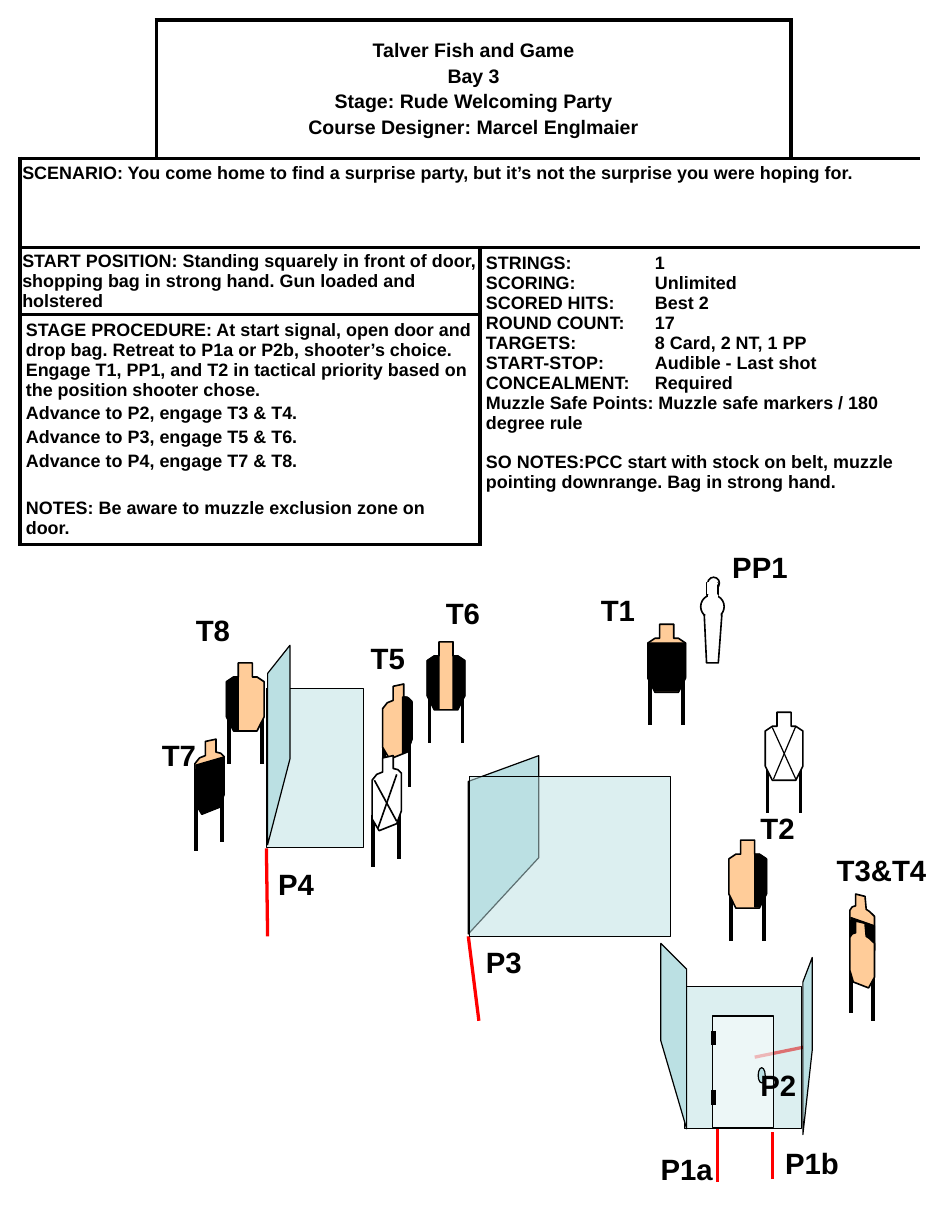
from lxml import etree
from pptx import Presentation
from pptx.dml.color import RGBColor
from pptx.enum.shapes import MSO_CONNECTOR, MSO_SHAPE
from pptx.enum.text import MSO_ANCHOR, PP_ALIGN
from pptx.oxml.ns import qn
from pptx.util import Pt

PX = 9144  # 100 px to the inch
RECT, OVAL, STRAIGHT = MSO_SHAPE.RECTANGLE, MSO_SHAPE.OVAL, MSO_CONNECTOR.STRAIGHT
CENTER, LEFT = PP_ALIGN.CENTER, PP_ALIGN.LEFT
TOP, MIDDLE = MSO_ANCHOR.TOP, MSO_ANCHOR.MIDDLE
BLACK, WHITE = RGBColor(0, 0, 0), RGBColor(255, 255, 255)
RED, TAN, GLASS = RGBColor(255, 0, 0), RGBColor(255, 204, 153), RGBColor(187, 224, 227)

# Table: widths, heights, then cells
COLS, ROWS = [116, 276, 265, 110], [118, 76, 57, 196]
HEADER = ["Talver Fish and Game", "Bay 3", "Stage: Rude Welcoming Party",
          "Course Designer: Marcel Englmaier"]
SCENARIO = ["SCENARIO: You come home to find a surprise party, "
            "but it’s not the surprise you were hoping for."]
START = ["START POSITION: Standing squarely in front of door, "
         "shopping bag in strong hand. Gun loaded and holstered"]
FACTS = ["STRINGS:\t1", "SCORING:\tUnlimited", "SCORED HITS:\tBest 2", "ROUND COUNT:\t17",
         "TARGETS:\t8 Card, 2 NT, 1 PP", "START-STOP:\tAudible - Last shot",
         "CONCEALMENT:\tRequired",
         "Muzzle Safe Points: Muzzle safe markers / 180 degree rule",
         "SO NOTES:PCC start with stock on belt, muzzle pointing downrange. Bag in strong hand."]
PROCEDURE = ["STAGE PROCEDURE: At start signal, open door and drop bag. Retreat to P1a or P2b, "
             "shooter’s choice. Engage T1, PP1, and T2 in tactical priority based on the "
             "position shooter chose.",
             "Advance to P2, engage T3 & T4.", "Advance to P3, engage T5 & T6.",
             "Advance to P4, engage T7 & T8.",
             "NOTES: Be aware to muzzle exclusion zone on door."]
# (row, col, rows, cols, text, size, align, anchor, x inset, y inset, space before, before last)
CELLS = [
    (0, 0, 1, 1, [], 12, LEFT, TOP, 5, 5, 0, 0),
    (0, 1, 1, 2, HEADER, 12, CENTER, MIDDLE, 5, 5, 2.4, 2.4),
    (0, 3, 1, 1, [], 12, LEFT, TOP, 5, 5, 0, 0),
    (1, 0, 1, 4, SCENARIO, 11, LEFT, TOP, 2, 4, 0, 0),
    (2, 0, 1, 2, START, 11, LEFT, TOP, 2, 3, 0, 0),
    (2, 2, 2, 2, FACTS, 11, LEFT, TOP, 5, 5, 0, 12),
    (3, 0, 1, 2, PROCEDURE, 11, LEFT, TOP, 5, 5, 2.2, 17),
]
OPEN_EDGES = {(0, 0): "LT", (0, 3): "RT"}
TAB = 144

# Course: firing lines, walls, targets, labels
FIRING_LINES = [(692, 891, 643, 901), (658, 1005, 658, 965), (399, 798, 408, 870),
                (611, 961, 611, 1007), (227, 723, 228, 798)]
WALLS = [  # corners, opacity
    ([(692, 895), (684, 967), (684, 837), (692, 816)], 100),
    ([(459, 731), (399, 796), (399, 666), (459, 644)], 100),
    ([(571, 798), (400, 798), (400, 662), (571, 662)], 50),
    ([(310, 722), (227, 722), (227, 587), (310, 587)], 50),
    ([(563, 887), (585, 962), (585, 826), (563, 804)], 100),
    ([(247, 647), (228, 720), (228, 574), (247, 550)], 100),
]
HINGES = [(879, 891), (929, 942)]
OUTLINES = {
    "front": [(10, 0), (22, 0), (22, 12), (26, 12), (32, 16), (32, 46), (26, 58), (6, 58),
              (0, 46), (0, 16), (6, 12), (10, 12)],
    "turned": [(9, 2), (18, 0), (18, 11), (22, 12), (25, 15), (25, 47), (21, 58), (6, 64),
               (0, 54), (0, 21), (4, 16), (9, 14)],
    "small": [(13, 2), (5, 0), (5, 10), (2, 11), (0, 14), (0, 42), (3, 52), (16, 57),
              (21, 48), (21, 19), (17, 15), (14, 13)],
}
STAKES = {"front": [(2, 42, 86), (30, 42, 86)], "turned": [(1, 51, 95), (23, 44, 88)],
          "small": [(20, 46, 85), (1, 40, 78)]}
PAINT = {
    "right": [(22, 12), (22, 57), (26, 57), (32, 46), (32, 16), (26, 12)],
    "left": [(10, 12), (10, 57), (6, 57), (0, 46), (0, 16), (6, 12)],
    "body": [(0, 16), (32, 16), (32, 45), (26, 57), (6, 57), (0, 46)],
    "turned body": [(0, 54), (6, 63), (21, 58), (25, 45), (25, 15), (1, 22)],
    "turned right": [(25, 47), (22, 57), (17, 59), (17, 11), (21, 11), (24, 15)],
    "small body": [(21, 27), (21, 48), (16, 56), (3, 52), (0, 43), (1, 20)],
}
TARGETS = [  # x, y, outline, painted parts, has stakes
    (364, 547, "front", ["right", "left"], True),
    (552, 532, "front", ["body"], True),
    (193, 565, "front", ["left"], True),
    (621, 716, "front", ["right"], True),
    (166, 630, "turned", ["turned body"], True),
    (326, 583, "turned", ["turned right"], True),
    (724, 762, "small", ["small body"], False),
    (724, 785, "small", [], True),
]
NO_SHOOTS = [  # x, y, outline, cross lines, cross width
    (317, 644, "turned", [(2, 21, 21, 56), (21, 16, 5, 62)], 1),
    (652, 607, "front", [(26, 12, 7, 57), (6, 13, 26, 57)], 0.75),
]
LABELS = [("P1a", 553, 976, 68), ("PP1", 614, 463, 73), ("T1", 502, 500, 58),
          ("T2", 638, 686, 58), ("T3&T4", 703, 721, 102), ("P3", 404, 800, 58),
          ("P2", 638, 905, 58), ("P4", 227, 733, 58), ("T6", 370, 502, 58),
          ("T5", 306, 541, 58), ("T8", 157, 517, 58), ("T7", 128, 623, 58),
          ("P1b", 659, 971, 77)]

prs = Presentation()
prs.slide_width, prs.slide_height = 800 * PX, 1050 * PX
s = prs.slides.add_slide(prs.slide_layouts[6])


def style(sp, fill, line=BLACK, width=0.75, opacity=100):
    sp.shadow.inherit = False
    sp.fill.solid()
    sp.fill.fore_color.rgb = fill
    if opacity < 100:
        color = sp.fill._xPr.find(qn("a:solidFill"))[0]
        etree.SubElement(color, qn("a:alpha"), val=str(opacity * 1000))
    if line is None:
        sp.line.fill.background()
    else:
        sp.line.color.rgb = line
        sp.line.width = Pt(width)


def shape(kind, x, y, w, h, *look):
    style(s.shapes.add_shape(kind, x * PX, y * PX, w * PX, h * PX), *look)


def outline(points, *look, x=0, y=0):
    points = [(x + px, y + py) for px, py in points]
    fb = s.shapes.build_freeform(*points[0], scale=PX)
    fb.add_line_segments(points[1:], close=True)
    style(fb.convert_to_shape(), *look)


def line(x1, y1, x2, y2, color=BLACK, width=2.25):
    c = s.shapes.add_connector(STRAIGHT, x1 * PX, y1 * PX, x2 * PX, y2 * PX)
    c.line.color.rgb = color
    c.line.width = Pt(width)
    etree.SubElement(c._element.spPr, qn("a:effectLst"))


def target(x, y, kind, fill, stakes=True):
    for dx, top, bottom in STAKES[kind] if stakes else []:
        line(x + dx, y + top, x + dx, y + bottom)
    outline(OUTLINES[kind], fill, BLACK, 1, x=x, y=y)


def borders(cell, drawn):
    tcPr = cell._tc.get_or_add_tcPr()
    for i, side in enumerate("LRTB"):
        ln = etree.Element(qn("a:ln" + side), w="28575")
        if side in drawn:
            fill = etree.SubElement(ln, qn("a:solidFill"))
            etree.SubElement(fill, qn("a:srgbClr"), val=str(BLACK))
        else:
            etree.SubElement(ln, qn("a:noFill"))
        tcPr.insert(i, ln)


def set_text(tf, lines, size, align=LEFT, before=0, before_last=0):
    for i, text in enumerate(lines):
        p = tf.paragraphs[0] if i == 0 else tf.add_paragraph()
        p.text = text
        p.alignment = align
        if i:
            p.space_before = Pt(before_last if i == len(lines) - 1 else before)
        if "\t" in text:
            tabs = etree.SubElement(p._p.get_or_add_pPr(), qn("a:tabLst"))
            etree.SubElement(tabs, qn("a:tab"), pos=str(TAB * PX), algn="l")
        p.font.name, p.font.size, p.font.bold = "Arial", Pt(size), True
        p.font.color.rgb = BLACK


for ends in FIRING_LINES:
    line(*ends, RED, 2)

# Stage description table
table = s.shapes.add_table(len(ROWS), len(COLS), 17 * PX, 17 * PX,
                           sum(COLS) * PX, sum(ROWS) * PX).table
table.first_row = table.horz_banding = False
for col, w in zip(table.columns, COLS):
    col.width = w * PX
for row, h in zip(table.rows, ROWS):
    row.height = h * PX
for r, c, nr, nc, lines, size, align, anchor, mx, my, before, before_last in CELLS:
    cell = table.cell(r, c)
    if nr * nc > 1:
        cell.merge(table.cell(r + nr - 1, c + nc - 1))
    cell.margin_left = cell.margin_right = mx * PX
    cell.margin_top = cell.margin_bottom = my * PX
    cell.vertical_anchor = anchor
    set_text(cell.text_frame, lines, size, align, before, before_last)
    for i in range(r, r + nr):
        for j in range(c, c + nc):
            part = table.cell(i, j)
            part.fill.solid()
            part.fill.fore_color.rgb = WHITE
            edges = {"L": j == c, "R": j == c + nc - 1, "T": i == r, "B": i == r + nr - 1}
            borders(part, [e for e in edges if edges[e] and e not in OPEN_EDGES.get((r, c), "")])

# Front wall with door, knob and hinges
shape(RECT, 583, 841, 100, 121, GLASS, BLACK, 0.75, 50)
shape(RECT, 607, 866, 52, 95, WHITE, BLACK, 0.75, 50)
shape(OVAL, 646, 910, 6, 13, GLASS)
for top, bottom in HINGES:
    line(608, top, 608, bottom, BLACK, 3)

for corners, opacity in WALLS:
    outline(corners, GLASS, BLACK, 0.75, opacity)

# Targets with hard cover, then no-shoots
for x, y, kind, painted, stakes in TARGETS:
    target(x, y, kind, TAN, stakes)
    for name in painted:
        outline(PAINT[name], BLACK, BLACK, 0, x=x, y=y)
for x, y, kind, cross, width in NO_SHOOTS:
    target(x, y, kind, WHITE)
    for x1, y1, x2, y2 in cross:
        line(x + x1, y + y1, x + x2, y + y2, BLACK, width)

# Popper
shape(OVAL, 603, 492, 10, 10, WHITE, BLACK, 1)
shape(OVAL, 597, 507, 20, 20, WHITE, BLACK, 1)
outline([(600, 524), (615, 524), (612, 565), (602, 565)], WHITE, BLACK, 1)
shape(RECT, 602, 497, 10, 10, WHITE, BLACK, 1)
shape(RECT, 601, 523, 13, 2, WHITE, None)
shape(RECT, 604, 507, 7, 2, WHITE, WHITE, 1)
shape(RECT, 603, 497, 8, 1, WHITE, WHITE, 1)

for text, x, y, w in LABELS:
    tf = s.shapes.add_textbox(x * PX, y * PX, w * PX, 40 * PX).text_frame
    tf.word_wrap = True
    set_text(tf, [text], 18)

prs.save("out.pptx")
